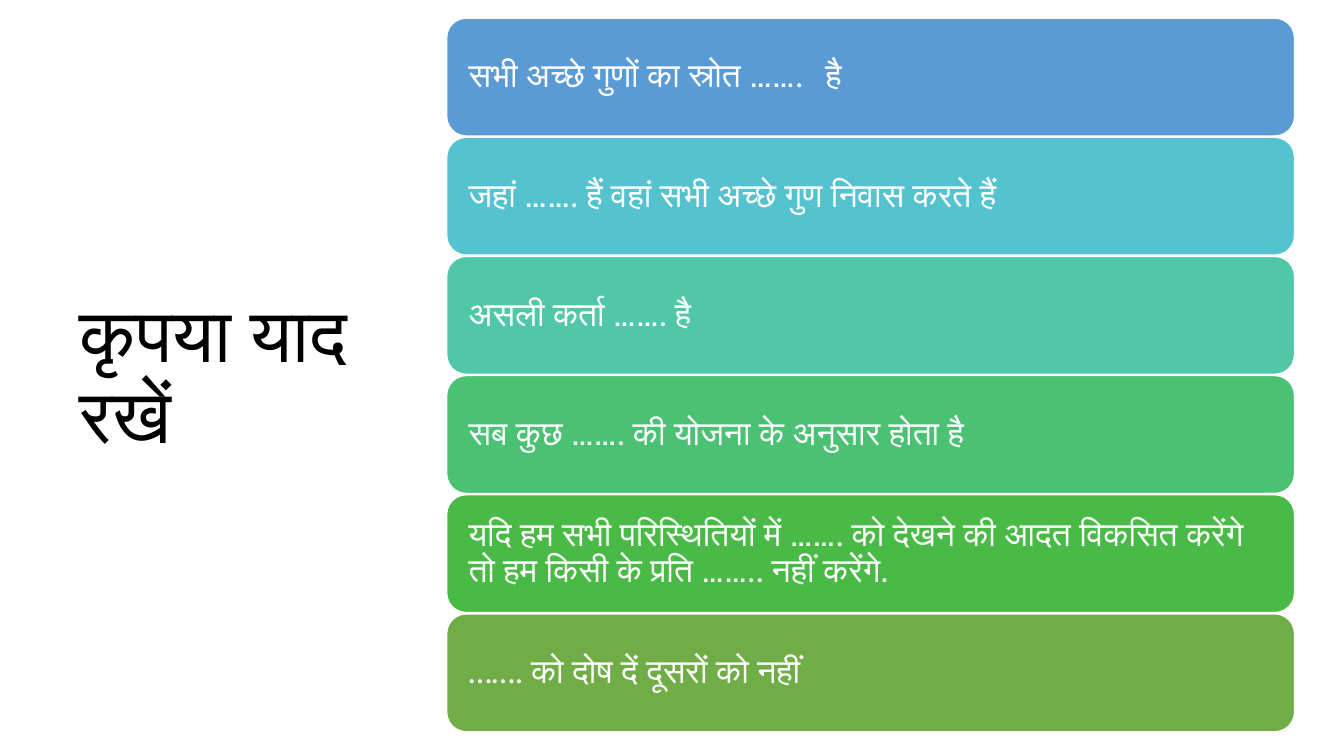
"""Build a reminder slide: a title beside a stack of coloured statement bars."""
from dataclasses import dataclass

from lxml import etree
from pptx import Presentation
from pptx.dml.color import RGBColor
from pptx.enum import shapes, text
from pptx.oxml import ns
from pptx.util import Inches, Pt

TITLE = "कृपया याद रखें"
STATEMENTS = [
    ("सभी अच्छे गुणों का स्रोत …….\tहै", "5B9BD5"),
    ("जहां ……. हैं वहां सभी अच्छे गुण निवास करते हैं", "55C3CF"),
    ("असली कर्ता ……. है", "50C8A7"),
    ("सब कुछ ……. की योजना के अनुसार होता है", "4BC174"),
    ("यदि हम सभी परिस्थितियों में ……. को देखने की आदत विकसित करेंगे तो "
     "हम किसी के प्रति …….. नहीं करेंगे.", "4ABA46"),
    ("……. को दोष दें दूसरों को नहीं", "70AD47"),
]


@dataclass(frozen=True)
class Theme:
    font: str = "Calibri"
    title_size: int = 54
    statement_size: int = 24
    title_color: str = "000000"
    light: str = "FFFFFF"


THEME = Theme()
BAR_LEFT, BAR_TOP, BAR_WIDTH, BAR_HEIGHT = 4.43, 0.18, 8.41, 1.17
STACK_BOTTOM = 7.26
BAR_PITCH = (STACK_BOTTOM - BAR_TOP - BAR_HEIGHT) / (len(STATEMENTS) - 1)
BAR_INSET = 0.16
TAB_STOP = 3.54


def format_text(frame, size, color):
    frame.word_wrap = True
    frame.auto_size = text.MSO_AUTO_SIZE.NONE
    frame.vertical_anchor = text.MSO_ANCHOR.MIDDLE
    paragraph = frame.paragraphs[0]
    paragraph.alignment = text.PP_ALIGN.LEFT
    paragraph.line_spacing = 0.9
    paragraph.font.name = THEME.font
    paragraph.font.size = Pt(size)
    paragraph.font.color.rgb = RGBColor.from_string(color)


def add_tab_stop(paragraph, position):
    properties = paragraph._p.get_or_add_pPr()
    tabs = etree.SubElement(properties, ns.qn("a:tabLst"))
    etree.SubElement(tabs, ns.qn("a:tab"), pos=str(Inches(position)), algn="l")


def add_title(slide):
    title = slide.shapes.title
    title.left, title.top = Inches(0.69), Inches(0.7)
    title.width, title.height = Inches(3.74), Inches(6.11)
    title.text_frame.text = TITLE
    format_text(title.text_frame, THEME.title_size, THEME.title_color)


def add_bar(slide, index, statement, color):
    bar = slide.shapes.add_shape(
        shapes.MSO_SHAPE.ROUNDED_RECTANGLE,
        Inches(BAR_LEFT), Inches(BAR_TOP + index * BAR_PITCH),
        Inches(BAR_WIDTH), Inches(BAR_HEIGHT))
    bar.shadow.inherit = False
    bar.fill.solid()
    bar.fill.fore_color.rgb = RGBColor.from_string(color)
    bar.line.color.rgb = RGBColor.from_string(THEME.light)
    bar.line.width = Pt(1)
    frame = bar.text_frame
    frame.margin_left = frame.margin_right = Inches(BAR_INSET)
    frame.margin_top = frame.margin_bottom = Inches(BAR_INSET)
    frame.text = statement
    if "\t" in statement:
        add_tab_stop(frame.paragraphs[0], TAB_STOP)
    format_text(frame, THEME.statement_size, THEME.light)


def main():
    presentation = Presentation()
    presentation.slide_width, presentation.slide_height = Inches(13.33), Inches(7.5)
    slide = presentation.slides.add_slide(presentation.slide_layouts[5])
    add_title(slide)
    for index, (statement, color) in enumerate(STATEMENTS):
        add_bar(slide, index, statement, color)
    presentation.save("out.pptx")


if __name__ == "__main__":
    main()
